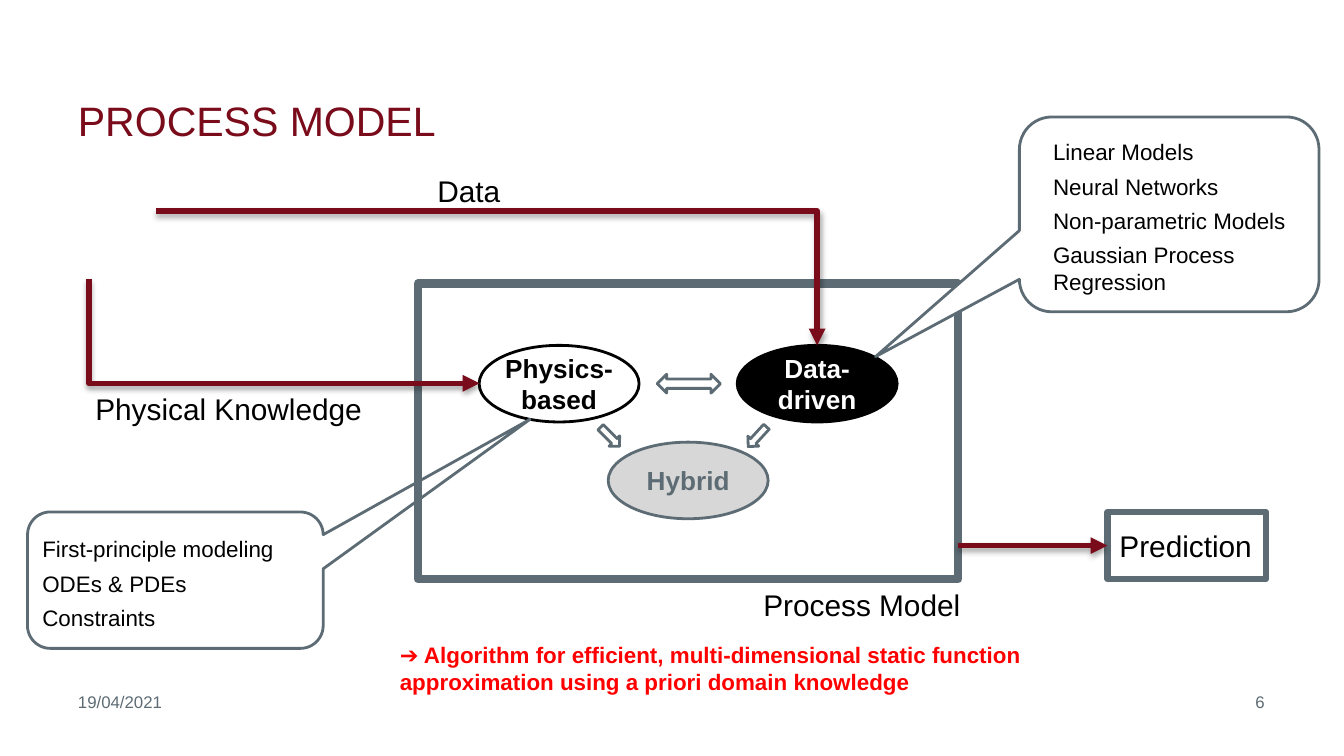
from typing import NamedTuple, Optional

from lxml.etree import SubElement
from pptx import Presentation
from pptx.dml.color import RGBColor
from pptx.enum.shapes import MSO_CONNECTOR, MSO_SHAPE
from pptx.enum.text import MSO_ANCHOR, MSO_AUTO_SIZE, PP_ALIGN
from pptx.oxml.ns import qn
from pptx.util import Inches, Length, Pt

# The 16:9 grid has 100 columns and 56.25 rows, each a tenth of an inch
COLUMNS, ROWS = 100, 56.25
RED, GREY, BLACK, WHITE = "790B1A", "5D6C74", "000000", "FFFFFF"
FONT = "Arial"


class Box(NamedTuple):
    column: float
    row: float
    columns: float
    rows: float


class Style(NamedTuple):
    size: float
    color: str = BLACK
    bold: bool = False
    align: PP_ALIGN = PP_ALIGN.LEFT
    space_before: float = 0


class Label(NamedTuple):
    text: str
    box: Box
    style: Style
    wrap: bool = True


class Oval(NamedTuple):
    text: str
    column: float
    row: float
    fill: str
    line: str
    color: str


class BlockArrow(NamedTuple):
    kind: MSO_SHAPE
    box: Box
    rotation: float


class Callout(NamedTuple):
    box: Box
    tail: tuple[float, float]
    fill: Optional[str]
    items: list[str]
    items_box: Box


def grid(count: float) -> Length:
    return Inches(count / 10)


def rgb(color: str) -> RGBColor:
    return RGBColor.from_string(color)


def place(shape, box: Box) -> None:
    shape.left, shape.top, shape.width, shape.height = map(grid, box)


def write(shape, lines: list[str], style: Style, wrap: bool = True,
          anchor: MSO_ANCHOR = MSO_ANCHOR.TOP) -> None:
    frame = shape.text_frame
    frame.margin_left = frame.margin_right = 0
    frame.margin_top = frame.margin_bottom = 0
    frame.word_wrap = wrap
    frame.auto_size = MSO_AUTO_SIZE.NONE
    frame.vertical_anchor = anchor
    frame.text = "\n".join(lines)
    for paragraph in frame.paragraphs:
        paragraph.alignment = style.align
        paragraph.space_before = Pt(style.space_before)
        font = paragraph.font
        font.name, font.size, font.bold = FONT, Pt(style.size), style.bold
        font.color.rgb = rgb(style.color)


def add_shape(slide, kind: MSO_SHAPE, box: Box, fill: Optional[str] = None,
              line: Optional[str] = None, width: float = 1.5):
    shape = slide.shapes.add_shape(kind, *map(grid, box))
    shape.shadow.inherit = False
    if fill:
        shape.fill.solid()
        shape.fill.fore_color.rgb = rgb(fill)
    else:
        shape.fill.background()
    if line:
        shape.line.color.rgb = rgb(line)
        shape.line.width = Pt(width)
    else:
        shape.line.fill.background()
    return shape


def add_label(slide, label: Label) -> None:
    text_box = slide.shapes.add_textbox(*map(grid, label.box))
    write(text_box, [label.text], label.style, label.wrap)


def add_callout(slide, callout: Callout) -> None:
    bubble = add_shape(slide, MSO_SHAPE.ROUNDED_RECTANGULAR_CALLOUT,
                       callout.box, callout.fill, GREY)
    for index, value in enumerate((*callout.tail, 0.167)):
        bubble.adjustments[index] = value
    panel = add_shape(slide, MSO_SHAPE.RECTANGLE, callout.items_box, WHITE)
    write(panel, callout.items, Style(12, space_before=4))


def add_flow(slide, start: tuple[float, float], end: tuple[float, float],
             kind: MSO_CONNECTOR = MSO_CONNECTOR.ELBOW):
    """Draw a red arrow with a soft shadow; an elbow has a single bend."""
    connector = slide.shapes.add_connector(kind, *map(grid, (*start, *end)))
    connector.line.color.rgb = rgb(RED)
    connector.line.width = Pt(3)
    properties = connector.element.spPr
    if kind == MSO_CONNECTOR.ELBOW:
        properties.find(qn("a:prstGeom")).set("prst", "bentConnector2")
    SubElement(properties.find(qn("a:ln")), qn("a:tailEnd"), type="triangle")
    effects = SubElement(properties, qn("a:effectLst"))
    shadow = SubElement(effects, qn("a:outerShdw"), blurRad=str(Pt(3.1)),
                        dist=str(Pt(1.8)), dir="5400000", rotWithShape="0")
    color = SubElement(shadow, qn("a:srgbClr"), val=BLACK)
    SubElement(color, qn("a:alpha"), val="35000")
    return connector


HEADING = Style(16, space_before=4)
FOOTER = Style(9, GREY)
FOOTERS = [
    Label("6", Box(74.2, 51.5, 19.9, 1.9), FOOTER._replace(align=PP_ALIGN.RIGHT)),
    Label("19/04/2021", Box(5.8, 51.5, 20.8, 1.9), FOOTER),
]
HEADINGS = [
    Label("Process Model", Box(56.8, 43.65, 14.8, 2.7), HEADING, False),
    Label("Data", Box(32.55, 12.85, 15, 2.7), HEADING),
    Label("Physical Knowledge", Box(7.1, 29.1, 20, 2.7), HEADING, False),
    Label("Prediction", Box(83.3, 39.25, 10, 2.7), HEADING, False),
]
CONCLUSION = Label(
    "➔ Algorithm for efficient, multi-dimensional static function "
    "approximation using a priori domain knowledge",
    Box(29.75, 47.7, 50.7, 4), Style(12, "FF0000", True))
OVALS = [
    Oval("Hybrid", 45.25, 32.9, "D7D7D7", GREY, GREY),
    Oval("Physics-based", 35.65, 25.7, WHITE, BLACK, BLACK),
    Oval("Data-driven", 54.85, 25.7, BLACK, BLACK, WHITE),
]
BLOCK_ARROWS = [
    BlockArrow(MSO_SHAPE.LEFT_RIGHT_ARROW, Box(48.9, 27.85, 4.7, 1.4), 0),
    BlockArrow(MSO_SHAPE.DOWN_ARROW, Box(55.8, 31.5, 1.1, 2), 42.6),
    BlockArrow(MSO_SHAPE.DOWN_ARROW, Box(44.85, 31.5, 1.1, 2), 315.2),
]
CALLOUTS = [
    Callout(Box(2.05, 38.1, 22, 10.15), (1.2, -1.18), None,
            ["First-principle modeling", "ODEs & PDEs", "Constraints"],
            Box(3.15, 39.85, 20.1, 7.2)),
    Callout(Box(75.85, 8.7, 22.3, 14.5), (-0.98, 0.73), WHITE,
            ["Linear Models", "Neural Networks", "Non-parametric Models",
             "Gaussian Process Regression"],
            Box(78.35, 10.3, 19.2, 11.8)),
]


def main() -> None:
    presentation = Presentation()
    presentation.slide_width, presentation.slide_height = grid(COLUMNS), grid(ROWS)
    slide = presentation.slides.add_slide(presentation.slide_layouts[5])

    # Title and footer
    title = slide.shapes.title
    place(title, Box(5.8, 2.9, 68.6, 7.9))
    write(title, ["PROCESS MODEL"], Style(22, RED), anchor=MSO_ANCHOR.BOTTOM)
    for label in FOOTERS:
        add_label(slide, label)

    # Model types, the arrows between them and the frame around them
    for oval in OVALS:
        shape = add_shape(slide, MSO_SHAPE.OVAL, Box(oval.column, oval.row, 11.9, 5.7),
                          oval.fill, oval.line)
        write(shape, [oval.text], Style(14, oval.color, True, PP_ALIGN.CENTER),
              anchor=MSO_ANCHOR.MIDDLE)
    for arrow in BLOCK_ARROWS:
        add_shape(slide, arrow.kind, arrow.box, line=GREY).rotation = arrow.rotation
    add_shape(slide, MSO_SHAPE.RECTANGLE, Box(31.1, 21.1, 40.2, 22), line=GREY, width=4.5)

    # Inputs: the knowledge arrow is turned so that it runs down, then right
    add_flow(slide, (11.6, 15.7), (60.8, 25.7))
    knowledge = add_flow(slide, (25.05, 10.1), (17.25, 39.15))
    knowledge.element.spPr.find(qn("a:xfrm")).set("rot", str(270 * 60000))

    # Output
    for label in HEADINGS:
        add_label(slide, label)
    prediction = add_shape(slide, MSO_SHAPE.RECTANGLE, Box(82.4, 38.1, 11.8, 5),
                           line=GREY, width=3.25)
    output = add_flow(slide, (71.3, 40.6), (82.4, 40.6), MSO_CONNECTOR.STRAIGHT)
    output.end_connect(prediction, 1)

    # Explanations and conclusion
    for callout in CALLOUTS:
        add_callout(slide, callout)
    add_label(slide, CONCLUSION)

    presentation.save("out.pptx")


if __name__ == "__main__":
    main()
